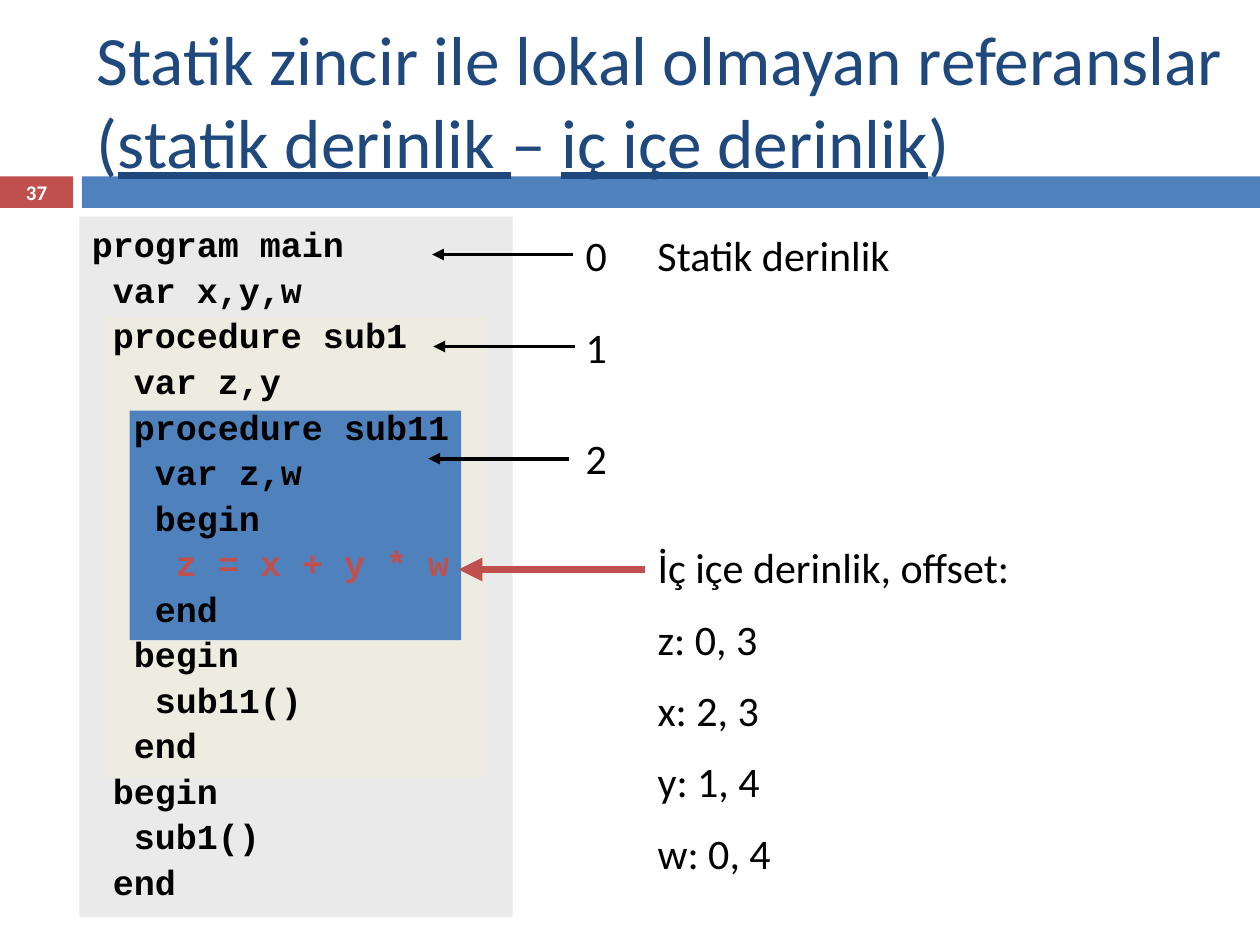
from pptx import Presentation
from pptx import util as u
from pptx.dml.color import RGBColor
from pptx.enum import shapes, text
from pptx.oxml.ns import qn
from lxml import etree

# Content
TITLE = [("Statik zincir ile lokal olmayan referanslar (", False),
         ("statik derinlik ", True), ("– ", False),
         ("iç içe derinlik", True), (")", False)]
NUMBER = "37"
CODE = """program main
 var x,y,w
 procedure sub1
  var z,y
  procedure sub11
   var z,w
   begin
    z = x + y * w
   end
  begin
   sub11()
  end
 begin
  sub1()
 end""".split("\n")
HOT_LINE = "z = x + y * w"
DEPTH_LABEL = "Statik derinlik"
# depth, label top, arrow start x, arrow y
DEPTHS = [("0", 1.77, 4.55, 2.02), ("1", 2.5, 4.56, 2.75), ("2", 3.38, 4.52, 3.64)]
ARROW_LENGTH = 1.12
OFFSETS = ["İç içe derinlik, offset:", "z: 0, 3", "x: 2, 3", "y: 1, 4", "w: 0, 4"]

THEME = dict(body="Calibri", code="Courier New", title_size=39.6, text_size=24,
             code_size=20, number_size=11.9, navy="1F497D", blue="4F81BD",
             red="C0504D", grey="EAEAEA", cream="EEECE1", black="000000", white="FFFFFF")

# Header bars, then the nested scopes: left, top, width, height, colour
BLOCKS = [(0, 1.4, 0.58, 0.25, "red"), (0.65, 1.4, 9.35, 0.25, "blue"),
          (0.63, 1.72, 3.44, 5.56, "grey"), (0.83, 2.52, 3.03, 3.65, "cream"),
          (1.03, 3.26, 2.63, 1.82, "blue")]


def rgb(name):
    return RGBColor.from_string(THEME[name])


def add_block(s, x, y, w, h, color):
    sp = s.shapes.add_shape(shapes.MSO_SHAPE.RECTANGLE, *map(u.Inches, (x, y, w, h)))
    sp.shadow.inherit = False
    sp.fill.solid()
    sp.fill.fore_color.rgb = rgb(color)
    sp.line.fill.background()


def add_text(s, box, paragraphs, size="text_size", font="body", color="black",
             bold=False, gap=0, align=text.PP_ALIGN.LEFT, anchor=text.MSO_ANCHOR.TOP):
    """Each paragraph is a list of (text, underline, colour or None) runs."""
    tf = s.shapes.add_textbox(*map(u.Inches, box)).text_frame
    tf.word_wrap = True
    tf.vertical_anchor = anchor
    for i, runs in enumerate(paragraphs):
        p = tf.paragraphs[0] if i == 0 else tf.add_paragraph()
        p.alignment = align
        p.space_before = u.Pt(gap if i else 0)
        for content, underline, run_color in runs:
            r = p.add_run()
            r.text = content
            r.font.name = THEME[font]
            r.font.size = u.Pt(THEME[size])
            r.font.bold = bold
            r.font.underline = underline
            r.font.color.rgb = rgb(run_color or color)


def plain(content):
    return [(content, False, None)]


def code_runs(line):
    if HOT_LINE not in line:
        return plain(line)
    return plain(line.replace(HOT_LINE, "")) + [(HOT_LINE, False, "red")]


def add_arrow(s, x1, x2, y, color="black", width=2.25):
    c = s.shapes.add_connector(shapes.MSO_CONNECTOR.STRAIGHT,
                               *map(u.Inches, (x1, y, x2, y)))
    c.line.color.rgb = rgb(color)
    c.line.width = u.Pt(width)
    ln = c._element.spPr.find(qn("a:ln"))
    etree.SubElement(ln, qn("a:tailEnd"), type="triangle")
    etree.SubElement(c._element.spPr, qn("a:effectLst"))


def main():
    prs = Presentation()
    prs.slide_width, prs.slide_height = u.Inches(10), u.Inches(7.5)
    s = prs.slides.add_slide(prs.slide_layouts[6])

    for block in BLOCKS:
        add_block(s, *block)

    # Title and slide number
    middle = text.MSO_ANCHOR.MIDDLE
    add_text(s, (0.67, 0.25, 9.33, 1.08), [[(t, line, None) for t, line in TITLE]],
             size="title_size", color="navy", anchor=middle)
    add_text(s, (0, 1.39, 0.58, 0.27), [plain(NUMBER)], size="number_size",
             color="white", bold=True, align=text.PP_ALIGN.CENTER, anchor=middle)

    # Program listing
    add_text(s, (0.63, 1.72, 3.92, 5.56), [code_runs(line) for line in CODE],
             size="code_size", font="code", bold=True, gap=2)

    # Static depths
    add_text(s, (5.12, 1.77, 2.2, 0.5), [plain(DEPTH_LABEL)])
    for depth, top, x, y in DEPTHS:
        add_text(s, (4.55, top, 0.57, 0.5), [plain(depth)])
        add_arrow(s, x, x - ARROW_LENGTH, y)

    # Nesting depth and offset of each variable
    add_text(s, (5.12, 4.25, 4.01, 2.93), [plain(t) for t in OFFSETS], gap=12)
    add_arrow(s, 5.12, 3.64, 4.52, color="red", width=4.5)

    prs.save("out.pptx")


if __name__ == "__main__":
    main()
